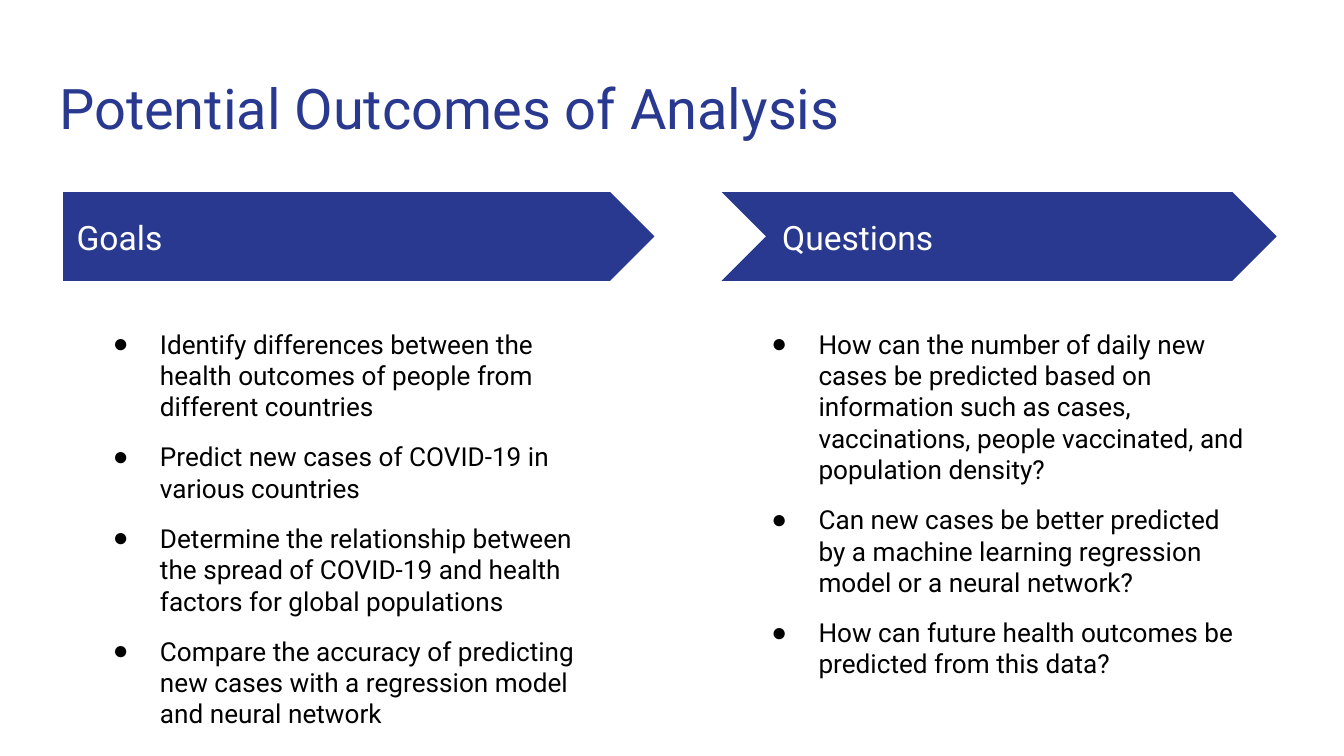
import pptx
import pptx.dml.color
import pptx.enum.shapes
import pptx.enum.text
import pptx.oxml.ns
import pptx.util
from lxml import etree

Inches = pptx.util.Inches
Pt = pptx.util.Pt
Anchor = pptx.enum.text.MSO_ANCHOR
Preset = pptx.enum.shapes.MSO_SHAPE


def color(value):
    """Return the colour for a hex string."""
    return pptx.dml.color.RGBColor.from_string(value)


def write(paragraph, text, size, ink, font="Roboto", before=0, after=0):
    """Write text into a paragraph with the given format."""
    paragraph.alignment = pptx.enum.text.PP_ALIGN.LEFT
    paragraph.space_before = Pt(before)
    paragraph.space_after = Pt(after)
    paragraph.line_spacing = 1.0
    run = paragraph.add_run()
    run.text = text
    run.font.name = font
    run.font.size = Pt(size)
    run.font.bold = False
    run.font.color.rgb = color(ink)


class SlideBuilder:
    """Hold the style and the current slide."""

    blue, white, black, font = "2A3990", "FFFFFF", "000000", "Roboto"

    def __init__(self, slide):
        """Keep the slide and paint its background."""
        self.slide = slide
        slide.background.fill.solid()
        slide.background.fill.fore_color.rgb = color(self.white)

    def place(self, index, box, anchor=Anchor.TOP):
        """Move a placeholder and return it with its frame set up."""
        shape = self.slide.placeholders[index]
        shape.left, shape.top, shape.width, shape.height = map(Inches, box)
        frame = shape.text_frame
        frame.word_wrap = True
        frame.auto_size = pptx.enum.text.MSO_AUTO_SIZE.NONE
        frame.vertical_anchor = anchor
        frame.margin_left = frame.margin_right = Inches(0.1)
        frame.margin_top = frame.margin_bottom = Inches(0.1)
        return shape

    def title(self, text, box):
        """Fill the title."""
        frame = self.place(0, box).text_frame
        write(frame.paragraphs[0], text, 30, self.blue, self.font)

    def banner(self, index, text, preset, arrow_box, text_box):
        """Draw an arrow behind its heading."""
        arrow = self.slide.shapes.add_shape(preset, *map(Inches, arrow_box))
        arrow.shadow.inherit = False
        arrow.adjustments[0] = 0.5
        arrow.fill.solid()
        arrow.fill.fore_color.rgb = color(self.blue)
        arrow.line.fill.background()
        heading = self.place(index, text_box, Anchor.MIDDLE)
        heading.element.addprevious(arrow.element)
        write(heading.text_frame.paragraphs[0], text, 18, self.white, self.font)

    def bullet(self, paragraph):
        """Give a paragraph a round bullet and a hanging indent."""
        properties = paragraph._p.get_or_add_pPr()
        properties.set("marL", str(Inches(0.5)))
        properties.set("indent", str(Inches(-0.35)))
        qn = pptx.oxml.ns.qn
        bullet_color = etree.SubElement(properties, qn("a:buClr"))
        etree.SubElement(bullet_color, qn("a:srgbClr"), val=self.black)
        etree.SubElement(properties, qn("a:buFont"), typeface="Arial")
        etree.SubElement(properties, qn("a:buChar"), char="●")

    def bullets(self, index, items, box):
        """Fill a bulleted list."""
        frame = self.place(index, box).text_frame
        for number, item in enumerate(items):
            paragraph = frame.add_paragraph() if number else frame.paragraphs[0]
            write(paragraph, item, 14, self.black, self.font,
                  before=10 if number else 0,
                  after=10 if number == len(items) - 1 else 0)
            self.bullet(paragraph)


COLUMNS = [
    ("Goals", Preset.PENTAGON, 0.47, 4.4, 0.47, 0.59, 3.22, [
        "Identify differences between the health outcomes of people from different countries",
        "Predict new cases of COVID-19 in various countries",
        "Determine the relationship between the spread of COVID-19 and health factors "
        "for global populations",
        "Compare the accuracy of predicting new cases with a regression model and neural network",
    ]),
    ("Questions", Preset.CHEVRON, 5.37, 4.13, 5.72, 5.49, 2.84, [
        "How can the number of daily new cases be predicted based on information such as "
        "cases, vaccinations, people vaccinated, and population density?",
        "Can new cases be better predicted by a machine learning regression model "
        "or a neural network?",
        "How can future health outcomes be predicted from this data?",
    ]),
]

presentation = pptx.Presentation()
presentation.slide_width = Inches(10)
presentation.slide_height = Inches(10) * 9 // 16
comparison = presentation.slide_layouts.get_by_name("Comparison")
builder = SlideBuilder(presentation.slides.add_slide(comparison))

builder.title("Potential Outcomes of Analysis", (0.34, 0.45, 9.32, 0.66))
for column, (heading, preset, left, width, text_left, list_left, height, items) in enumerate(COLUMNS):
    index = 1 + 2 * column
    builder.banner(index, heading, preset, (left, 1.43, width, 0.66), (text_left, 1.59, 2.47, 0.34))
    builder.bullets(index + 1, items, (list_left, 2.34, 3.89, height))

for placeholder in list(builder.slide.placeholders):
    if not placeholder.text_frame.text:
        placeholder.element.getparent().remove(placeholder.element)

presentation.save("out.pptx")
